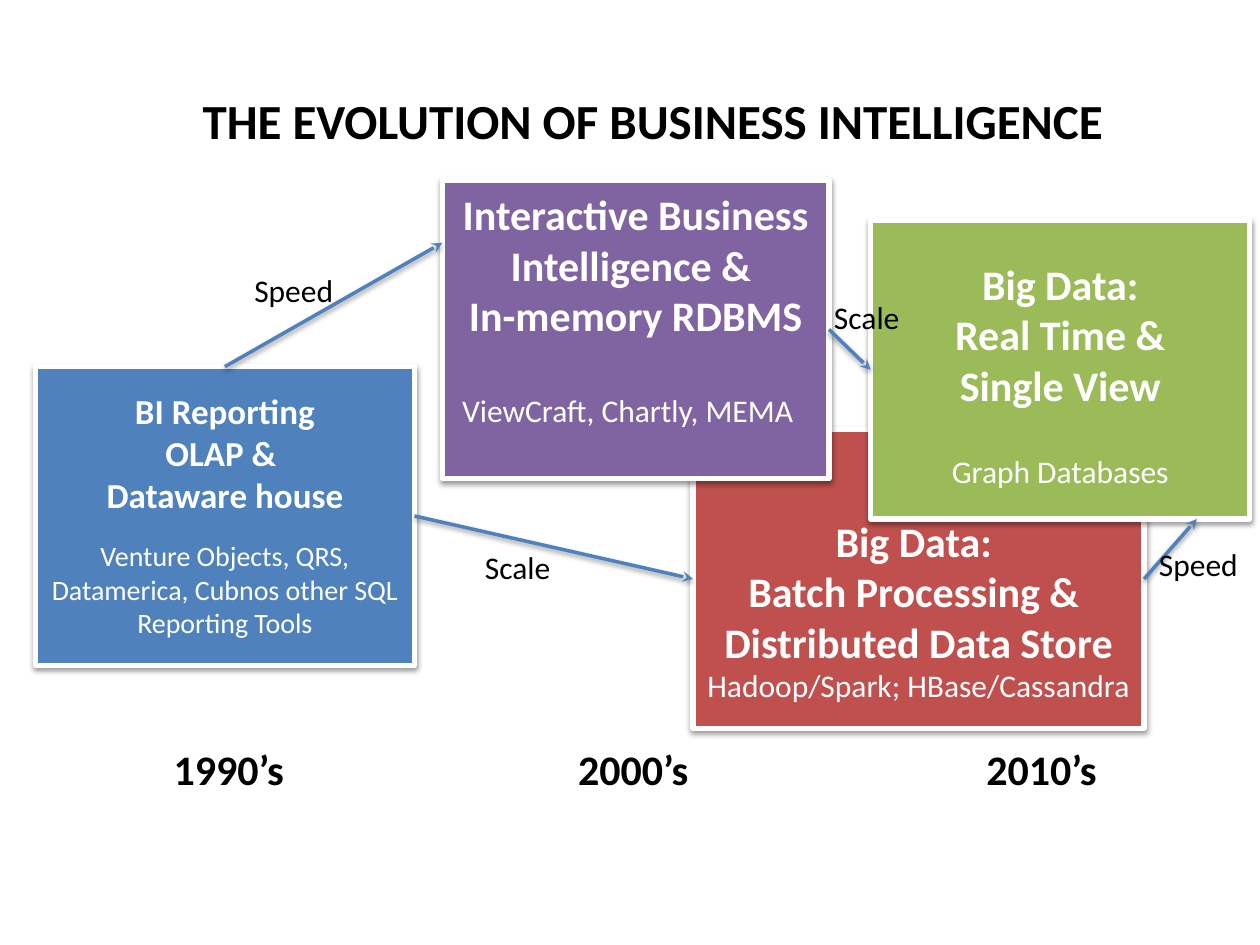
from collections import namedtuple
from lxml.etree import SubElement as Sub
from pptx import Presentation
from pptx.dml.color import RGBColor as Rgb
from pptx.enum.shapes import MSO_CONNECTOR as Link, MSO_SHAPE as Kind
from pptx.enum.text import MSO_ANCHOR as Anchor, PP_ALIGN as Align
from pptx.oxml.ns import qn
from pptx.util import Inches, Pt

Box = namedtuple("Box", "left top width height")
Line = namedtuple("Line", "text size bold gap align indent",
                  defaults=(False, 0, Align.CENTER, 0))


class Theme:
    font = "Calibri"
    red, blue, purple, green = "C0504D", "4F81BD", "8064A2", "9BBB59"
    white, black = "FFFFFF", "000000"
    title, head, sub, body, small = 28, 24, 20, 18, 16
    edge, arrow = 3, 2


def color(code):
    return Rgb.from_string(code)


def apply(target, values):
    for name, value in values.items():
        setattr(target, name, value)


def shade(shape):
    """Soft shadow straight below the shape."""
    props = shape._element.spPr
    for old in props.findall(qn("a:effectLst")):
        props.remove(old)
    glow = Sub(Sub(props, qn("a:effectLst")), qn("a:outerShdw"),
               blurRad=str(Pt(3.1)), dist=str(Pt(1.6)), dir="5400000", rotWithShape="0")
    tint = Sub(glow, qn("a:srgbClr"), val=Theme.black)
    Sub(tint, qn("a:alpha"), val="38000")


def write(frame, lines, ink):
    for i, line in enumerate(lines):
        para = frame.paragraphs[0] if i == 0 else frame.add_paragraph()
        para.alignment = line.align
        if line.gap:
            para.space_before = Pt(line.gap)
        if line.indent:
            para._p.get_or_add_pPr().set("marL", str(Inches(line.indent)))
        run = para.add_run()
        run.text = line.text
        apply(run.font, {"name": Theme.font, "size": Pt(line.size), "bold": line.bold})
        run.font.color.rgb = color(ink)


def card(slide, box, fill, inset, lines):
    """Era box; inset is the room above its first line."""
    shape = slide.shapes.add_shape(Kind.RECTANGLE, *map(Inches, box))
    shape.fill.solid()
    shape.fill.fore_color.rgb = color(fill)
    shape.line.color.rgb = color(Theme.white)
    shape.line.width = Pt(Theme.edge)
    shade(shape)
    apply(shape.text_frame, {"word_wrap": True, "vertical_anchor": Anchor.TOP,
                             "margin_top": Inches(inset), "margin_bottom": 0})
    write(shape.text_frame, lines, Theme.white)


def label(slide, box, text, size, bold=False):
    shape = slide.shapes.add_textbox(*map(Inches, box))
    shape.text_frame.word_wrap = False
    write(shape.text_frame, [Line(text, size, bold, align=Align.LEFT)], Theme.black)


def spot(box, across, down):
    """Point at a share of the box's width and height."""
    return Inches(box.left + across * box.width), Inches(box.top + down * box.height)


def arrow(slide, start, end):
    link = slide.shapes.add_connector(Link.STRAIGHT, *start, *end)
    link.line.color.rgb = color(Theme.blue)
    link.line.width = Pt(Theme.arrow)
    Sub(link.line._get_or_add_ln(), qn("a:tailEnd"), type="stealth")
    shade(link)


def main():
    deck = Presentation()
    deck.slide_width, deck.slide_height = Inches(10), Inches(7.5)
    slide = deck.slides.add_slide(deck.slide_layouts[6])

    # Era boxes, back to front
    tall = 2.37
    batch = Box(5.5, 3.41, 3.58, tall)
    report = Box(0.28, 2.91, 3.01, tall)
    memory = Box(3.51, 1.43, 3.07, tall)
    live = Box(6.91, 1.75, 3.01, tall)
    head, sub, body = Theme.head, Theme.sub, Theme.body
    card(slide, batch, Theme.red, 0.68, [
        Line("Big Data: ", head, True),
        Line("Batch Processing & ", head, True),
        Line("Distributed Data Store", head, True),
        Line("Hadoop/Spark; HBase/Cassandra", body)])
    card(slide, report, Theme.blue, 0.18, [
        Line("BI Reporting", sub, True),
        Line("OLAP & ", sub, True),
        Line("Dataware house", sub, True),
        Line("Venture Objects, QRS, Datamerica, Cubnos other SQL Reporting Tools",
             Theme.small, gap=13.4)])
    card(slide, memory, Theme.purple, 0.07, [
        Line("Interactive Business Intelligence & ", head, True),
        Line("In-memory RDBMS", head, True),
        Line("ViewCraft, Chartly, MEMA", body, gap=29.3, align=Align.LEFT, indent=0.06)])
    card(slide, live, Theme.green, 0.3, [
        Line("Big Data:", head, True),
        Line("Real Time &", head, True),
        Line("Single View", head, True),
        Line("Graph Databases", body, gap=24.4)])

    # Title and decades
    label(slide, Box(1.51, 0.67, 8.06, 0.65),
          "THE EVOLUTION OF BUSINESS INTELLIGENCE", Theme.title, True)
    for left, text in ((1.28, "1990’s"), (4.49, "2000’s"), (7.73, "2010’s")):
        label(slide, Box(left, 5.85, 1.11, 0.5), text, head, True)

    # Arrows between eras
    arrow(slide, spot(report, 0.5, 0), spot(memory, 0, 0.21))
    arrow(slide, spot(report, 1, 0.5), spot(batch, 0, 0.5))
    arrow(slide, spot(memory, 1, 0.5), spot(live, 0, 0.5))
    arrow(slide, spot(batch, 1, 0.5), spot(live, 0.86, 1))

    # Arrow labels
    for left, top, wide, text in ((1.92, 2.1, 0.83, "Speed"), (3.75, 4.3, 0.73, "Scale"),
                                  (6.52, 2.32, 0.73, "Scale"), (9.1, 4.28, 0.83, "Speed")):
        label(slide, Box(left, top, wide, 0.4), text, body)

    deck.save("out.pptx")


if __name__ == "__main__":
    main()
